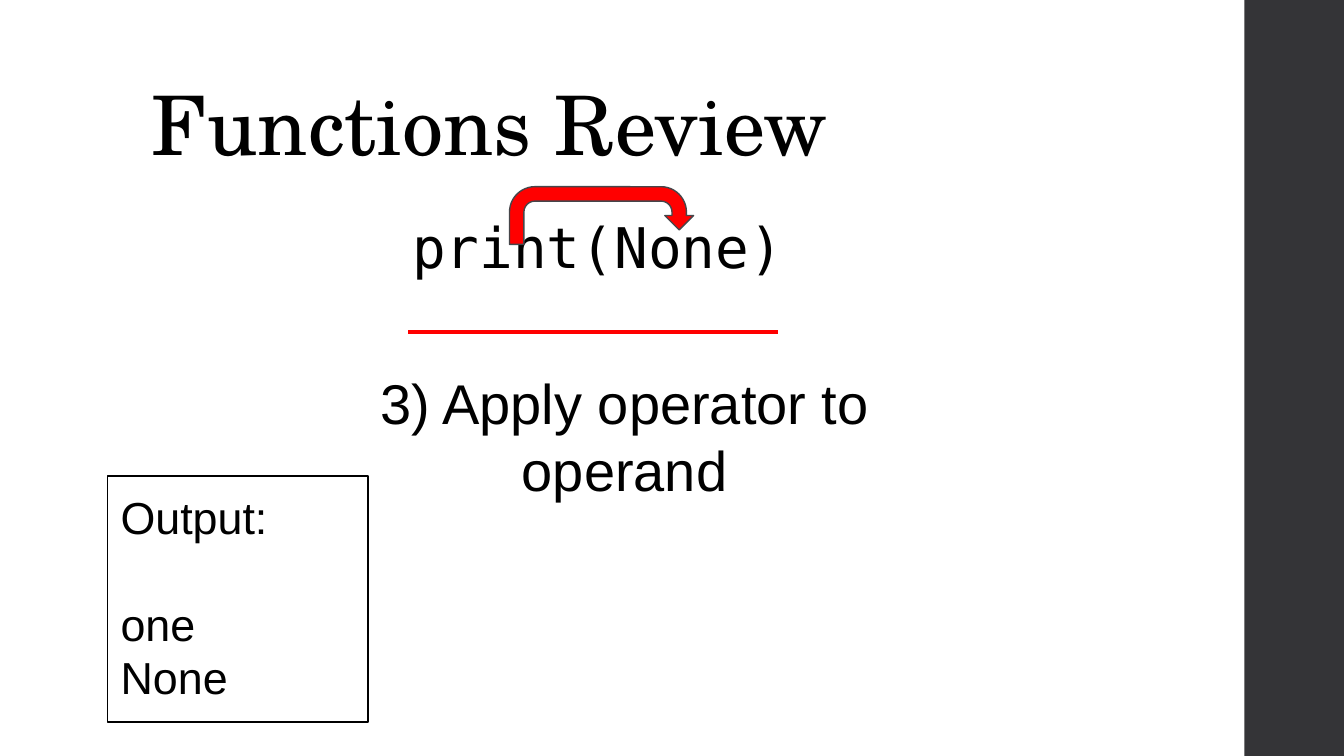
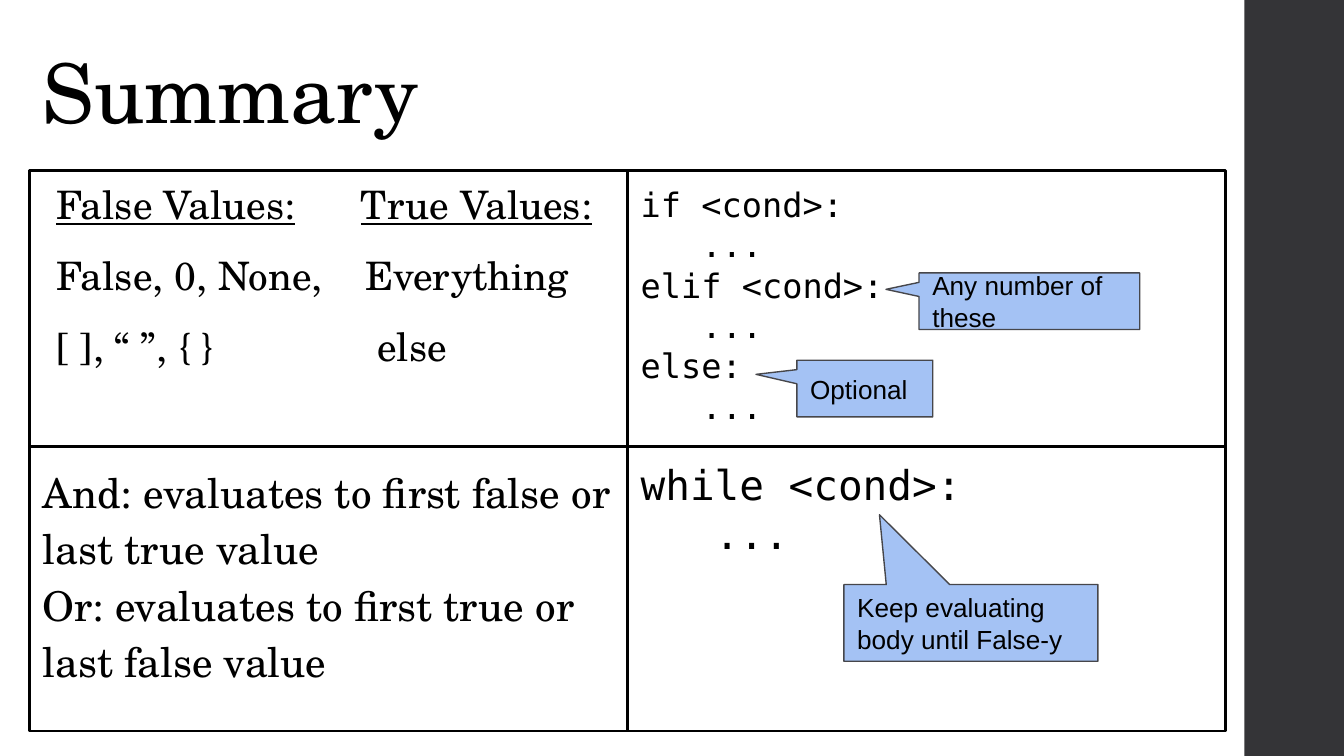
from dataclasses import dataclass
from typing import Optional

from lxml.etree import SubElement
from pptx import Presentation
from pptx.dml.color import RGBColor
from pptx.enum.shapes import MSO_CONNECTOR, MSO_SHAPE
from pptx.enum.text import MSO_ANCHOR, MSO_AUTO_SIZE, PP_ALIGN
from pptx.oxml.ns import qn
from pptx.util import Cm, Pt

BLACK = RGBColor(0x00, 0x00, 0x00)
WHITE = RGBColor(0xFF, 0xFF, 0xFF)
RED = RGBColor(0xFF, 0x00, 0x00)
BLUE = RGBColor(0xA4, 0xC2, 0xF4)
SLATE = RGBColor(0x46, 0x46, 0x4A)
DARK = RGBColor(0x34, 0x34, 0x37)

SERIF = "TeX Gyre Schola"
SANS = "Arial"
MONO = "DejaVu Sans Mono"
INSET = 0.25


@dataclass(frozen=True)
class Area:
    left: float
    top: float
    width: float
    height: float

    def lengths(self) -> tuple:
        return Cm(self.left), Cm(self.top), Cm(self.width), Cm(self.height)


@dataclass(frozen=True)
class Style:
    font: str
    size: float
    spacing: Optional[float] = None
    before: float = 0
    align: PP_ALIGN = PP_ALIGN.LEFT


@dataclass(frozen=True)
class Piece:
    text: str
    under: bool = False


@dataclass(frozen=True)
class Para:
    pieces: tuple
    indent: float = 0
    tab: float = 0
    before: float = 0


@dataclass(frozen=True)
class Panel:
    area: Area
    style: Style
    paras: tuple
    inset: float = INSET
    border: float = 1.5


@dataclass(frozen=True)
class Callout:
    area: Area
    tip: tuple
    text: str


HEAD = Style(SERIF, 44, 0.9)
NOTE = Style(SANS, 14)


def plain(text: str, indent: float = 0, before: float = 0) -> Para:
    return Para((Piece(text),), indent=indent, before=before)


def row(first: str, second: str, tab: float, under: bool = False) -> Para:
    return Para((Piece(first, under), Piece("\t"), Piece(second, under)), tab=tab)


def write(frame, style: Style, paras: tuple, inset: float = INSET,
          anchor: MSO_ANCHOR = MSO_ANCHOR.TOP) -> None:
    frame.word_wrap = True
    frame.auto_size = MSO_AUTO_SIZE.NONE
    frame.vertical_anchor = anchor
    frame.margin_left = Cm(inset)
    frame.margin_top = frame.margin_right = frame.margin_bottom = Cm(INSET)
    for index, item in enumerate(paras):
        para = frame.add_paragraph() if index else frame.paragraphs[0]
        para.alignment = style.align
        if style.spacing:
            para.line_spacing = style.spacing
        para.space_before = Pt(item.before or style.before)
        props = para._p.get_or_add_pPr()
        if item.indent:
            props.set("marL", str(Cm(item.indent)))
        if item.tab:
            stops = SubElement(props, qn("a:tabLst"))
            SubElement(stops, qn("a:tab"), pos=str(Cm(item.tab)), algn="l")
        for piece in item.pieces:
            run = para.add_run()
            run.text = piece.text
            run.font.name = style.font
            run.font.size = Pt(style.size)
            run.font.color.rgb = BLACK
            run.font.underline = piece.under


def draw(slide, kind: MSO_SHAPE, area: Area, fill: Optional[RGBColor] = None,
         line: Optional[RGBColor] = None, weight: float = 0.75, adjust: tuple = ()):
    shape = slide.shapes.add_shape(kind, *area.lengths())
    shape.shadow.inherit = False
    if fill is None:
        shape.fill.background()
    else:
        shape.fill.solid()
        shape.fill.fore_color.rgb = fill
    if line is None:
        shape.line.fill.background()
    else:
        shape.line.color.rgb = line
        shape.line.width = Pt(weight)
    for index, value in enumerate(adjust):
        shape.adjustments[index] = value
    return shape


def start(deck, title: str, left: float, top: float):
    slide = deck.slides.add_slide(deck.slide_layouts[5])
    slide.background.fill.solid()
    slide.background.fill.fore_color.rgb = WHITE
    draw(slide, MSO_SHAPE.RECTANGLE, Area(23.52, 0, 1.88, 14.29), fill=DARK)
    head = slide.shapes.title
    head.left, head.top, head.width, head.height = Area(left, top, 20.2, 2.77).lengths()
    write(head.text_frame, HEAD, (plain(title),), anchor=MSO_ANCHOR.BOTTOM)
    return slide


def label(slide, area: Area, style: Style, text: str, inset: float = INSET) -> None:
    box = slide.shapes.add_textbox(*area.lengths())
    write(box.text_frame, style, (plain(text),), inset)


def frame(slide, panel: Panel) -> None:
    shape = draw(slide, MSO_SHAPE.RECTANGLE, panel.area, line=BLACK, weight=panel.border)
    write(shape.text_frame, panel.style, panel.paras, panel.inset)


def point(slide, note: Callout) -> None:
    shape = draw(slide, MSO_SHAPE.ROUNDED_RECTANGULAR_CALLOUT, note.area,
                 BLUE, SLATE, adjust=(*note.tip, 0))
    write(shape.text_frame, NOTE, (plain(note.text),), anchor=MSO_ANCHOR.MIDDLE)


def rule(slide, left: float, right: float, top: float) -> None:
    line = slide.shapes.add_connector(MSO_CONNECTOR.STRAIGHT, Cm(left), Cm(top),
                                      Cm(right), Cm(top))
    line.line.color.rgb = RED
    line.line.width = Pt(2.25)
    SubElement(line._element.spPr, qn("a:effectLst"))


def review(deck) -> None:
    slide = start(deck, "Functions Review", 2.62, 0.76)
    label(slide, Area(7.29, 3.86, 17.9, 9.07), Style(MONO, 30, 0.95, 14),
          "print(None)", inset=0.5)
    rule(slide, 7.72, 14.71, 6.27)
    output = (plain("Output:"), plain("one", before=28.5), plain("None"))
    frame(slide, Panel(Area(2.03, 9, 4.93, 4.65), Style(SANS, 24), output, border=0.75))
    label(slide, Area(5.05, 6.71, 13.51, 1.45),
          Style(SANS, 30, align=PP_ALIGN.CENTER), "3) Apply operator to operand")
    draw(slide, MSO_SHAPE.U_TURN_ARROW, Area(9.63, 3.53, 3.48, 1.09), RED, SLATE,
         adjust=(0.25, 0.25, 0.25, 0.44, 0.75))


def summary(deck) -> None:
    slide = start(deck, "Summary", 0.56, 0.15)
    left, top, width = 0.56, 3.23, 11.3
    upper, lower = 5.21, 5.38
    right, middle = left + width, top + upper
    values = (
        row("False Values:", "True Values:", 5.76, under=True),
        row("False, 0, None,", "Everything", 5.84),
        row("[ ], “ ”, { }", "else", 6.07),
    )
    logic = (
        plain("And: evaluates to first false or last true value"),
        plain("Or: evaluates to first true or last false value"),
    )
    branch = tuple(
        part for word in ("if <cond>:", "elif <cond>:", "else:")
        for part in (plain(word), plain("...", indent=1.15))
    )
    loop = (plain("while <cond>:"), plain("...", indent=1.4))
    panels = (
        Panel(Area(left, top, width, upper), Style(SERIF, 21, 0.95, 14), values, 0.5),
        Panel(Area(left, middle, width, lower), Style(SERIF, 22, 1.15), logic),
        Panel(Area(right, top, width, upper), Style(MONO, 18), branch),
        Panel(Area(right, middle, width, lower), Style(MONO, 22), loop),
    )
    notes = (
        Callout(Area(17.37, 5.16, 4.17, 1.07), (-0.65, -0.21), "Any number of these"),
        Callout(Area(15.06, 6.81, 2.57, 1.07), (-0.8, -0.25), "Optional"),
        Callout(Area(15.95, 11.05, 4.8, 1.45), (-0.36, -1.41),
                "Keep evaluating body until False-y"),
    )
    for panel in panels:
        frame(slide, panel)
    for note in notes:
        point(slide, note)


def main() -> None:
    deck = Presentation()
    deck.slide_width, deck.slide_height = Cm(25.4), Cm(14.29)
    review(deck)
    summary(deck)
    deck.save("out.pptx")


if __name__ == "__main__":
    main()
